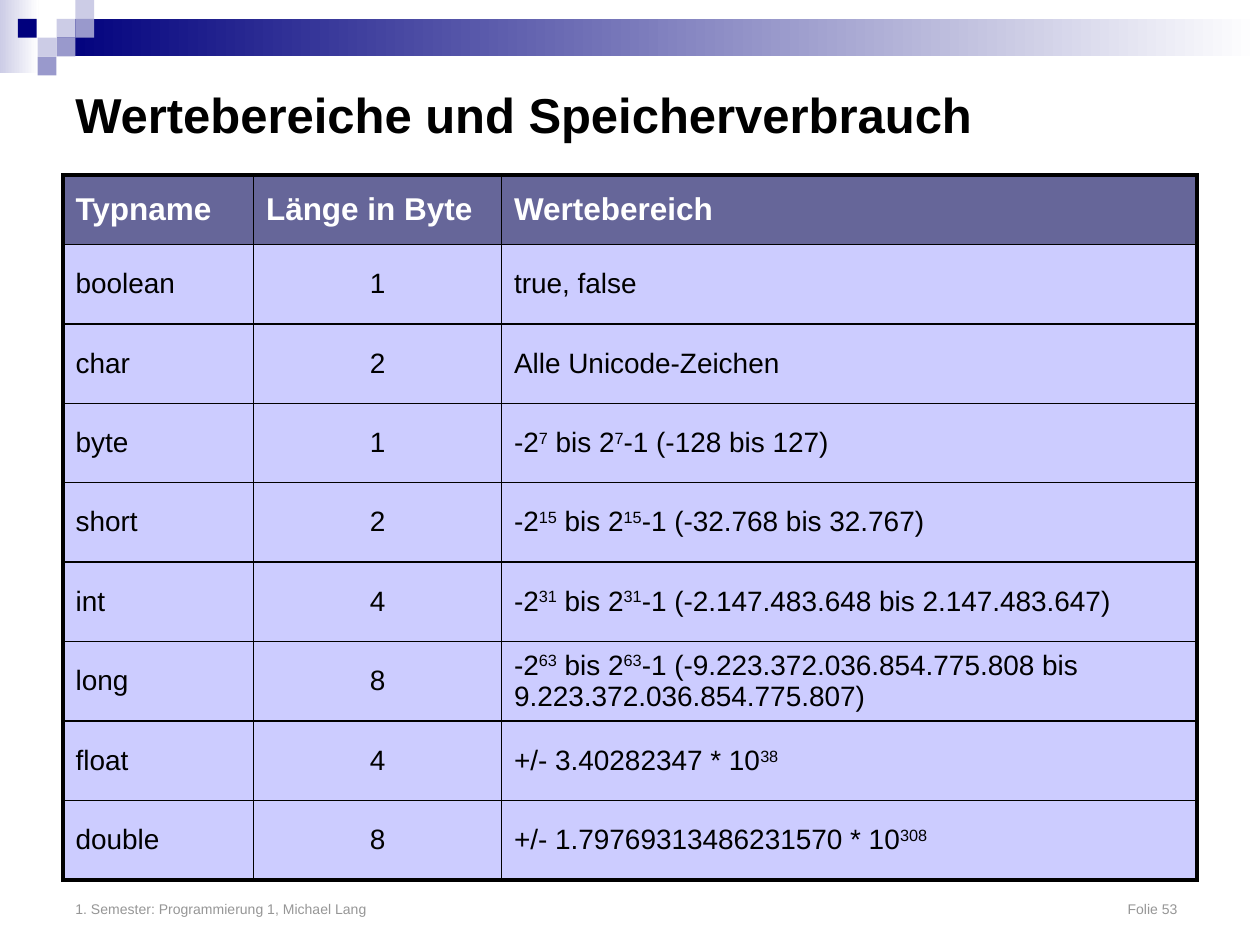
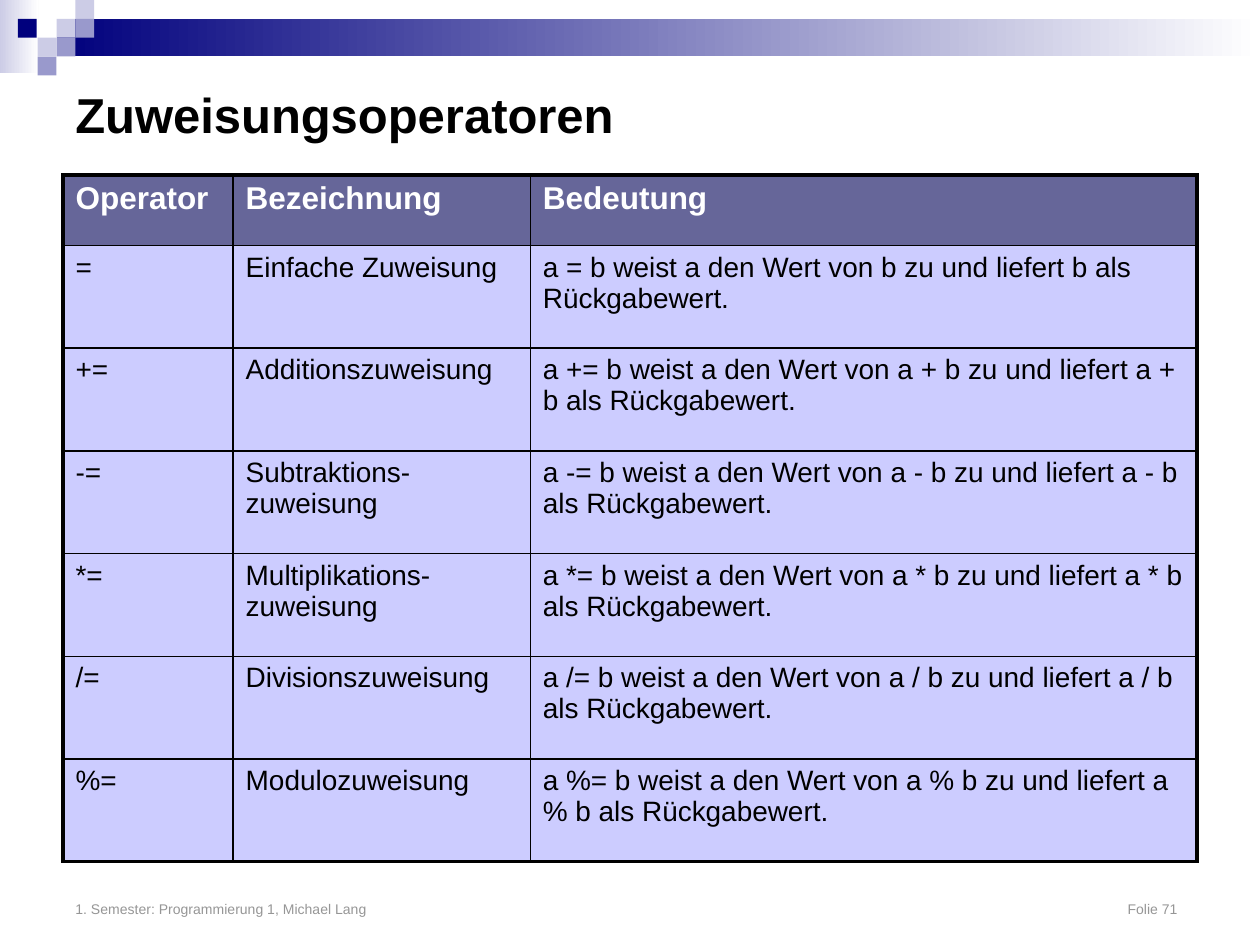
from dataclasses import dataclass
from typing import Any, NamedTuple

from lxml import etree
from pptx import Presentation
from pptx.dml.color import RGBColor
from pptx.enum.shapes import MSO_SHAPE
from pptx.enum.text import MSO_ANCHOR, PP_ALIGN
from pptx.oxml.ns import qn
from pptx.util import Cm, Pt

RECTANGLE = MSO_SHAPE.RECTANGLE
TOP, MIDDLE, BOTTOM = MSO_ANCHOR.TOP, MSO_ANCHOR.MIDDLE, MSO_ANCHOR.BOTTOM
LEFT, CENTER = PP_ALIGN.LEFT, PP_ALIGN.CENTER

# Colours
BLACK = RGBColor(0x00, 0x00, 0x00)
WHITE = RGBColor(0xFF, 0xFF, 0xFF)
GREY = RGBColor(0x96, 0x96, 0x96)
NAVY = RGBColor(0x00, 0x00, 0x7D)
PALE_LILAC = RGBColor(0xCC, 0xCC, 0xE6)
LILAC = RGBColor(0x99, 0x99, 0xCC)
HEADER_FILL = RGBColor(0x66, 0x66, 0x99)
BODY_FILL = RGBColor(0xCC, 0xCC, 0xFF)

# Shared measures
FONT = "Arial"
MARGIN = Cm(1.27)
CONTENT_WIDTH = Cm(22.86)
TABLE_TOP = Cm(3.53)
FOOTER_TAB = Cm(22.22)
SQUARE = 0.38
OUTER_LINE, INNER_LINE = Pt(2.25), Pt(1)
SUPERSCRIPT_MARK = "^"


class TextStyle(NamedTuple):
    size: int
    color: RGBColor
    bold: bool = False


class Box(NamedTuple):
    left: int
    top: int
    width: int
    height: int


class Band(NamedTuple):
    box: Box
    start_color: RGBColor


class Square(NamedTuple):
    column: float
    row: int
    color: RGBColor


@dataclass
class TableSlide:
    title: str
    number: int
    column_widths: list[float]
    alignments: list[PP_ALIGN]
    header_height: float
    row_height: float
    anchor: MSO_ANCHOR
    rows: list[tuple[str, ...]]


TITLE_STYLE = TextStyle(28, BLACK, True)
FOOTER_STYLE = TextStyle(8, GREY)
HEADER_STYLE = TextStyle(18, WHITE, True)
BODY_STYLE = TextStyle(16, BLACK)

TITLE_BOX = Box(MARGIN, Cm(1.27), CONTENT_WIDTH, Cm(2.06))
FOOTER_BOX = Box(MARGIN, Cm(17.35), CONTENT_WIDTH, Cm(1.27))

BANDS = [
    Band(Box(Cm(0), Cm(0), Cm(0.78), Cm(1.47)), PALE_LILAC),
    Band(Box(Cm(1.14), Cm(0.38), Cm(24.26), Cm(0.76)), NAVY),
]

# Squares sit on a grid of their own size
SQUARES = [
    Square(3, 1, PALE_LILAC),
    Square(4, 0, PALE_LILAC),
    Square(4, 1, LILAC),
    Square(2, 2, PALE_LILAC),
    Square(0.95, 1, NAVY),
    Square(3, 2, LILAC),
    Square(2, 3, LILAC),
]

# Operator, name, and the expression that is assigned
ASSIGNMENTS = [
    ("=", "Einfache Zuweisung", "b"),
    ("+=", "Additionszuweisung", "a + b"),
    ("-=", "Subtraktions-zuweisung", "a - b"),
    ("*=", "Multiplikations-zuweisung", "a * b"),
    ("/=", "Divisionszuweisung", "a / b"),
    ("%=", "Modulozuweisung", "a % b"),
]

TABLE_SLIDES = [
    TableSlide(
        title="Wertebereiche und Speicherverbrauch",
        number=53,
        column_widths=[3.84, 5, 14.02],
        alignments=[LEFT, CENTER, LEFT],
        header_height=1.4,
        row_height=1.6,
        anchor=MIDDLE,
        rows=[
            ("Typname", "Länge in Byte", "Wertebereich"),
            ("boolean", "1", "true, false"),
            ("char", "2", "Alle Unicode-Zeichen"),
            ("byte", "1", "-2^7^ bis 2^7^-1 (-128 bis 127)"),
            ("short", "2", "-2^15^ bis 2^15^-1 (-32.768 bis 32.767)"),
            ("int", "4", "-2^31^ bis 2^31^-1 (-2.147.483.648 bis 2.147.483.647)"),
            ("long", "8", "-2^63^ bis 2^63^-1 (-9.223.372.036.854.775.808 bis "
                          "9.223.372.036.854.775.807)"),
            ("float", "4", "+/- 3.40282347 * 10^38^"),
            ("double", "8", "+/- 1.79769313486231570 * 10^308^"),
        ],
    ),
    TableSlide(
        title="Zuweisungsoperatoren",
        number=71,
        column_widths=[3.43, 5.99, 13.44],
        alignments=[LEFT, LEFT, LEFT],
        header_height=1.42,
        row_height=2.07,
        anchor=TOP,
        rows=[("Operator", "Bezeichnung", "Bedeutung")] + [
            (operator, name, f"a {operator} b weist a den Wert von {value} zu "
                             f"und liefert {value} als Rückgabewert.")
            for operator, name, value in ASSIGNMENTS
        ],
    ),
]


def format_runs(paragraph: Any, style: TextStyle) -> None:
    for run in paragraph.runs:
        run.font.name = FONT
        run.font.size = Pt(style.size)
        run.font.bold = style.bold
        run.font.color.rgb = style.color


def add_text(slide: Any, box: Box, text: str, style: TextStyle, anchor: MSO_ANCHOR) -> Any:
    text_frame = slide.shapes.add_textbox(*box).text_frame
    text_frame.word_wrap = True
    text_frame.vertical_anchor = anchor
    text_frame.text = text
    paragraph = text_frame.paragraphs[0]
    format_runs(paragraph, style)
    return paragraph


def add_rectangle(slide: Any, box: Box) -> Any:
    shape = slide.shapes.add_shape(RECTANGLE, *box)
    shape.shadow.inherit = False
    shape.line.fill.background()
    return shape


def add_decoration(slide: Any) -> None:
    for band in BANDS:
        fill = add_rectangle(slide, band.box).fill
        fill.gradient()
        fill.gradient_angle = 0
        for stop, color in zip(fill.gradient_stops, (band.start_color, WHITE)):
            stop.color.rgb = color
    for square in SQUARES:
        box = Box(Cm(square.column * SQUARE), Cm(square.row * SQUARE), Cm(SQUARE), Cm(SQUARE))
        fill = add_rectangle(slide, box).fill
        fill.solid()
        fill.fore_color.rgb = square.color


def add_footer(slide: Any, number: int) -> None:
    text = f"1. Semester: Programmierung 1, Michael Lang\tFolie {number}"
    paragraph = add_text(slide, FOOTER_BOX, text, FOOTER_STYLE, BOTTOM)
    tab_list = etree.SubElement(paragraph._p.get_or_add_pPr(), qn("a:tabLst"))
    etree.SubElement(tab_list, qn("a:tab"), pos=str(FOOTER_TAB), algn="r")


def set_cell_text(cell: Any, text: str, style: TextStyle, alignment: PP_ALIGN) -> None:
    """Write text; every second part between marks is raised."""
    paragraph = cell.text_frame.paragraphs[0]
    paragraph.alignment = alignment
    parts = text.split(SUPERSCRIPT_MARK)
    paragraph.text = parts[0]
    for index, part in enumerate(parts[1:], start=1):
        if part:
            run = paragraph.add_run()
            run.text = part
            if index % 2:
                run.font._element.set("baseline", "30000")
    format_runs(paragraph, style)


def set_cell_borders(cell: Any, outer_edges: dict[str, bool]) -> None:
    properties = cell._tc.get_or_add_tcPr()
    for index, (edge, is_outer) in enumerate(outer_edges.items()):
        width = OUTER_LINE if is_outer else INNER_LINE
        line = etree.Element(qn(f"a:{edge}"), w=str(width))
        fill = etree.SubElement(line, qn("a:solidFill"))
        etree.SubElement(fill, qn("a:srgbClr"), val=str(BLACK))
        properties.insert(index, line)


def add_data_table(slide: Any, content: TableSlide) -> None:
    last_row, last_column = len(content.rows) - 1, len(content.column_widths) - 1
    height = Cm(content.header_height + last_row * content.row_height)
    table = slide.shapes.add_table(
        last_row + 1, last_column + 1, MARGIN, TABLE_TOP, CONTENT_WIDTH, height
    ).table
    table.horz_banding = False
    for column, width in zip(table.columns, content.column_widths):
        column.width = Cm(width)

    for row_index, texts in enumerate(content.rows):
        is_header = row_index == 0
        table.rows[row_index].height = Cm(
            content.header_height if is_header else content.row_height
        )
        for column_index, text in enumerate(texts):
            cell = table.cell(row_index, column_index)
            cell.vertical_anchor = content.anchor
            cell.fill.solid()
            cell.fill.fore_color.rgb = HEADER_FILL if is_header else BODY_FILL
            alignment = LEFT if is_header else content.alignments[column_index]
            set_cell_text(cell, text, HEADER_STYLE if is_header else BODY_STYLE, alignment)
            set_cell_borders(cell, {
                "lnL": column_index == 0,
                "lnR": column_index == last_column,
                "lnT": is_header,
                "lnB": row_index == last_row,
            })


def main() -> None:
    presentation = Presentation()
    presentation.slide_width = Cm(25.4)
    presentation.slide_height = Cm(19.05)
    blank_layout = presentation.slide_layouts[6]
    for content in TABLE_SLIDES:
        slide = presentation.slides.add_slide(blank_layout)
        add_decoration(slide)
        add_footer(slide, content.number)
        add_text(slide, TITLE_BOX, content.title, TITLE_STYLE, MIDDLE)
        add_data_table(slide, content)
    presentation.save("out.pptx")


if __name__ == "__main__":
    main()
